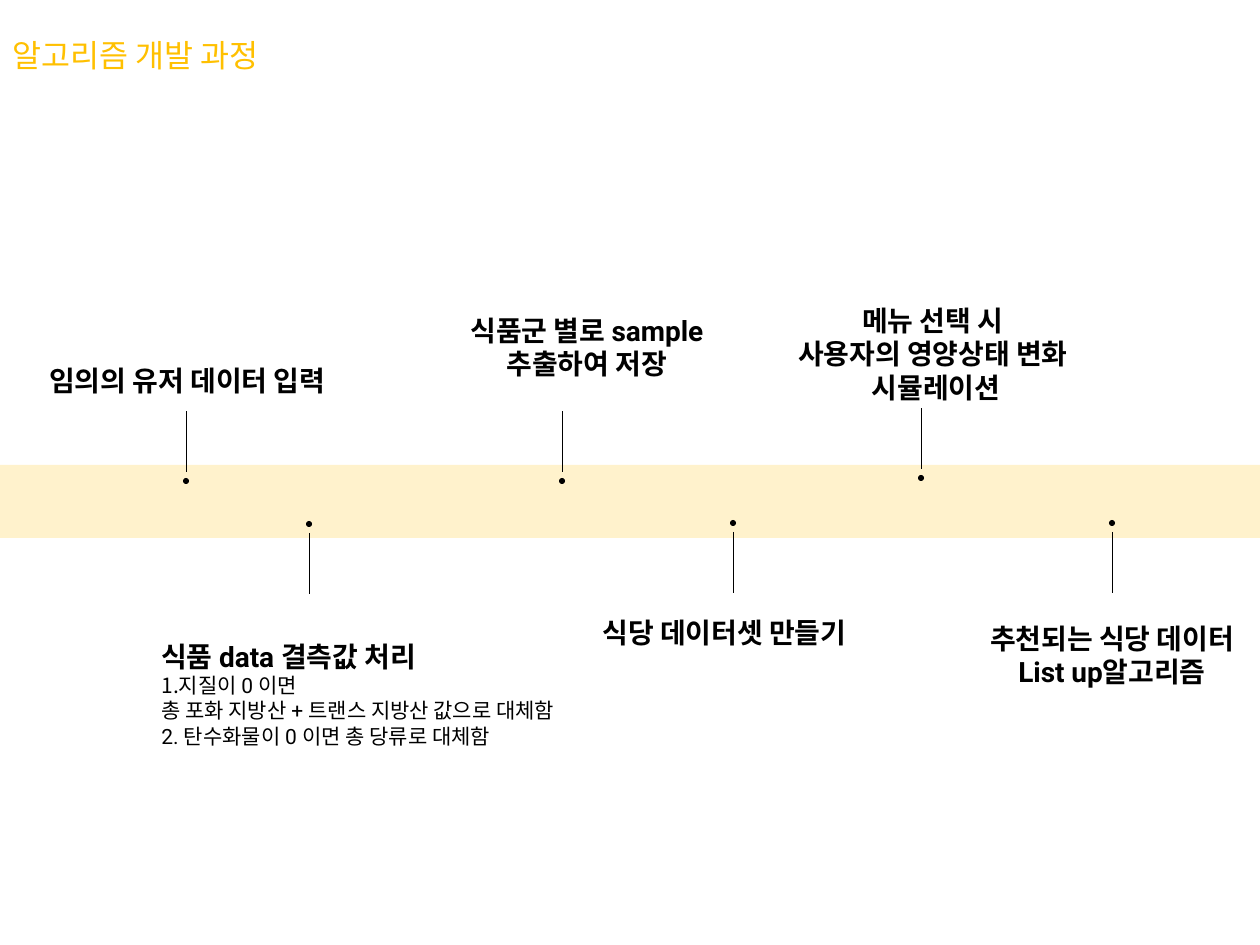
from lxml import etree
from pptx import Presentation
from pptx.dml.color import RGBColor
from pptx.enum.shapes import MSO_CONNECTOR, MSO_SHAPE
from pptx.enum.text import MSO_AUTO_SIZE, PP_ALIGN
from pptx.oxml.ns import qn
from pptx.util import Emu, Pt

LEFT, CENTER = PP_ALIGN.LEFT, PP_ALIGN.CENTER
FIT_SHAPE = MSO_AUTO_SIZE.SHAPE_TO_FIT_TEXT
STRAIGHT = MSO_CONNECTOR.STRAIGHT
RECT, OVAL = MSO_SHAPE.RECTANGLE, MSO_SHAPE.OVAL

BLACK = RGBColor(0x00, 0x00, 0x00)
AMBER = RGBColor(0xFF, 0xC0, 0x00)
CREAM = RGBColor(0xFF, 0xF2, 0xCC)
ROBOTO, NOTO = "Roboto", "Noto Sans CJK KR"

STEM, DOT = 61, 6
MARKER_HEIGHT = 73

# box, lines, alignment, wrap, font
STEPS = [
    ((590, 609, 296, 47), ["식당 데이터셋 만들기"], LEFT, False, ROBOTO),
    ((272, 307, 630, 81), ["식품군 별로 sample", "추출하여 저장"], CENTER, True, ROBOTO),
    ((964, 615, 296, 81), ["추천되는 식당 데이터", "List up알고리즘"], CENTER, False, ROBOTO),
    ((621, 297, 630, 118), ["메뉴 선택 시 ", "사용자의 영양상태 변화 ", "시뮬레이션"],
     CENTER, True, ROBOTO),
    ((37, 357, 338, 47), ["임의의 유저 데이터 입력"], LEFT, False, NOTO),
]

# centre x, top, whether the stem rises from its dot
MARKERS = [(186, 411, True), (309, 521, False), (733, 520, False),
           (562, 411, True), (921, 408, True), (1112, 520, False)]


def px(n):
    return Emu(round(n * 914400 / 126))


def style(p, size, font, color=BLACK, bold=False):
    p.font.size = Pt(size)
    p.font.name = font
    p.font.bold = bold
    p.font.color.rgb = color
    for r in p.runs:
        ea = etree.SubElement(r.font._element, qn("a:ea"))
        ea.set("typeface", NOTO)


def add_text(slide, box, lines, align=LEFT, wrap=False):
    """Add a text box and return its paragraphs, ready to be styled."""
    tf = slide.shapes.add_textbox(*map(px, box)).text_frame
    tf.word_wrap = wrap
    tf.auto_size = FIT_SHAPE
    tf.text = "\n".join(lines)
    for p in tf.paragraphs:
        p.alignment = align
    return tf.paragraphs


def add_filled(shapes, kind, box, color):
    sp = shapes.add_shape(kind, *map(px, box))
    sp.shadow.inherit = False
    sp.fill.solid()
    sp.fill.fore_color.rgb = color
    sp.line.fill.background()


def add_title(slide, box):
    p, = add_text(slide, box, ["알고리즘 개발 과정"])
    style(p, 18, NOTO, AMBER)


def add_step(slide, box, lines, align, wrap, font):
    for p in add_text(slide, box, lines, align, wrap):
        style(p, 16, font, bold=True)


def add_missing_values(slide, box):
    """Step heading followed by its rules, the first of them auto-numbered."""
    heading, *rules = add_text(slide, box, [
        "식품 data 결측값 처리",
        "지질이 0 이면",
        "총 포화 지방산 + 트랜스 지방산 값으로 대체함",
        "2. 탄수화물이 0 이면 총 당류로 대체함",
    ], wrap=True)
    style(heading, 16, ROBOTO, bold=True)
    for p in rules:
        style(p, 12, ROBOTO)
    number = etree.Element(qn("a:buAutoNum"), type="arabicPeriod")
    rules[0]._p.get_or_add_pPr().insert(0, number)


def add_marker(slide, x, top, rising):
    """Group a dot and its stem in a column centred on x."""
    shapes = slide.shapes.add_group_shape().shapes
    bottom = top + MARKER_HEIGHT
    if rising:
        start, end, dot_top = top + STEM, top, bottom - DOT
    else:
        start, end, dot_top = bottom - STEM, bottom, top
    stem = shapes.add_connector(STRAIGHT, px(x), px(start), px(x), px(end))
    stem.line.color.rgb = BLACK
    stem.line.width = Pt(0.5)
    etree.SubElement(stem._element.spPr, qn("a:effectLst"))
    add_filled(shapes, OVAL, (x - DOT / 2, dot_top, DOT, DOT), BLACK)


def main():
    prs = Presentation()
    prs.slide_width, prs.slide_height = px(1260), px(945)
    slide = prs.slides.add_slide(prs.slide_layouts[6])
    add_missing_values(slide, (149, 633, 630, 127))
    for step in STEPS:
        add_step(slide, *step)
    add_filled(slide.shapes, RECT, (0, 465, 1260, 73), CREAM)
    for marker in MARKERS:
        add_marker(slide, *marker)
    add_title(slide, (0, 30, 302, 50))
    prs.save("out.pptx")


if __name__ == "__main__":
    main()
